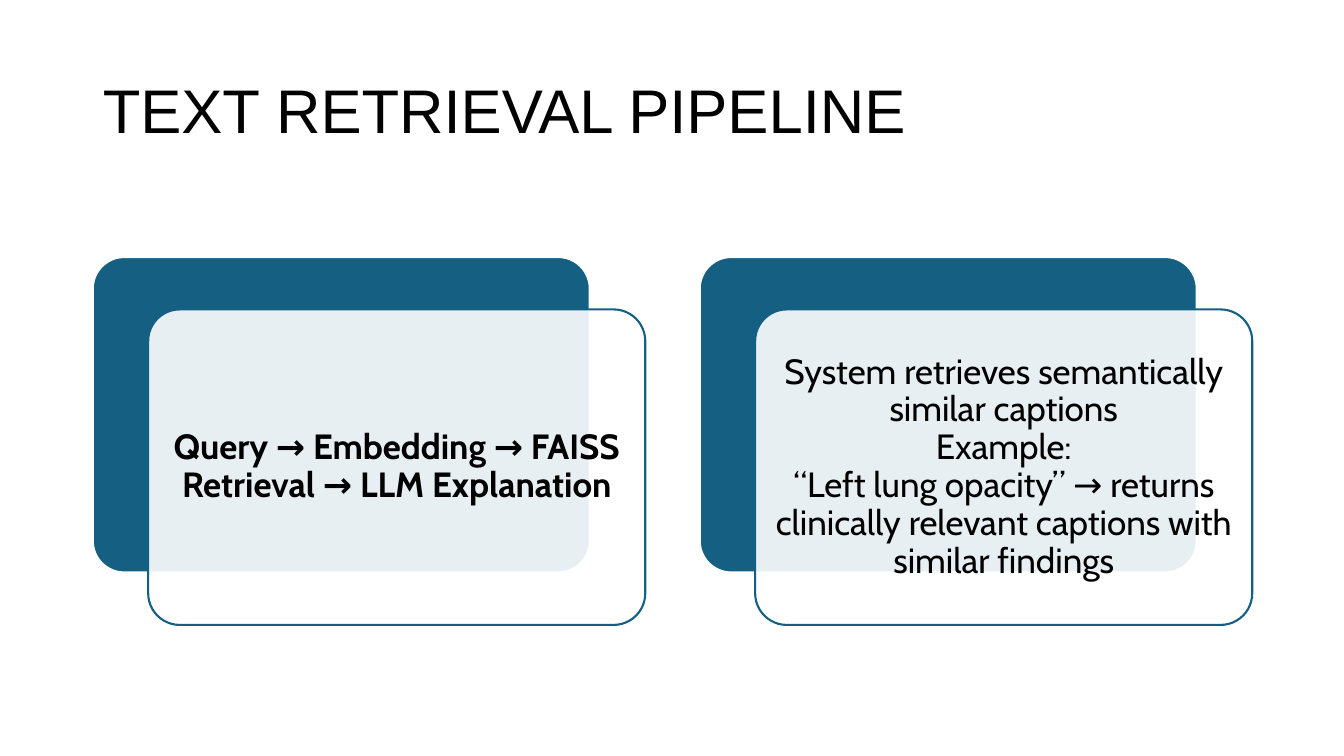
from dataclasses import dataclass

from lxml.etree import SubElement
from pptx import Presentation
from pptx.dml.color import RGBColor
from pptx.enum.shapes import MSO_SHAPE as Preset
from pptx.enum.text import MSO_ANCHOR as Anchor, MSO_AUTO_SIZE as AutoSize, PP_ALIGN as Align
from pptx.oxml.ns import qn
from pptx.shapes.autoshape import Shape
from pptx.shapes.group import GroupShape
from pptx.slide import Slide
from pptx.text.text import TextFrame
from pptx.util import Inches, Pt


@dataclass(frozen=True)
class Theme:
    ink: RGBColor = RGBColor(0x00, 0x00, 0x00)
    accent: RGBColor = RGBColor(0x15, 0x60, 0x82)
    paper: RGBColor = RGBColor(0xFF, 0xFF, 0xFF)
    title_font: str = "Arial"
    card_font: str = "Cabin"
    title_size: int = 44
    card_size: int = 25
    line_width: float = 1.5
    line_spacing: float = 0.9
    front_opacity: int = 90


@dataclass(frozen=True)
class Card:
    lines: tuple[str, ...]
    bold: bool = False


THEME = Theme()

# Card grid, in inches
CARD_LEFT, CARD_TOP = 0.92, 2.55
CARD_WIDTH, CARD_HEIGHT = 4.93, 3.13
CARD_PITCH = 6.02
FRONT_SHIFT_X, FRONT_SHIFT_Y = 0.55, 0.52
TEXT_INSET = 0.09
TEXT_MARGIN = 0.1

CARDS = (
    Card(("Query → Embedding → FAISS Retrieval → LLM Explanation",), bold=True),
    Card((
        "System retrieves semantically similar captions",
        "Example:",
        "“Left lung opacity” → returns clinically relevant captions with similar findings",
    )),
)


def write_lines(frame: TextFrame, lines: tuple[str, ...], font: str, size: int,
                align: Align, bold: bool = False) -> None:
    frame.word_wrap = True
    frame.auto_size = AutoSize.NONE
    frame.vertical_anchor = Anchor.MIDDLE
    paragraph = frame.paragraphs[0]
    paragraph.alignment = align
    paragraph.line_spacing = THEME.line_spacing
    for index, line in enumerate(lines):
        if index:
            paragraph.add_line_break()
        run = paragraph.add_run()
        run.text = line
        run.font.name = font
        run.font.size = Pt(size)
        run.font.bold = bold
        run.font.color.rgb = THEME.ink


def add_panel(group: GroupShape, left: float, top: float,
              fill: RGBColor, outline: RGBColor) -> Shape:
    panel = group.shapes.add_shape(Preset.ROUNDED_RECTANGLE, Inches(left), Inches(top),
                                   Inches(CARD_WIDTH), Inches(CARD_HEIGHT))
    panel.adjustments[0] = 0.1
    panel.shadow.inherit = False
    panel.fill.solid()
    panel.fill.fore_color.rgb = fill
    panel.line.color.rgb = outline
    panel.line.width = Pt(THEME.line_width)
    return panel


def set_opacity(panel: Shape, percent: int) -> None:
    fill_color = panel.fill._xPr.find(qn("a:solidFill"))[0]
    SubElement(fill_color, qn("a:alpha")).set("val", str(percent * 1000))


def add_card(slide: Slide, card: Card, left: float) -> None:
    group = slide.shapes.add_group_shape()

    # Solid panel behind, translucent panel in front
    add_panel(group, left, CARD_TOP, THEME.accent, THEME.paper)
    front_left, front_top = left + FRONT_SHIFT_X, CARD_TOP + FRONT_SHIFT_Y
    front = add_panel(group, front_left, front_top, THEME.paper, THEME.accent)
    set_opacity(front, THEME.front_opacity)

    # Card text
    caption = group.shapes.add_textbox(
        Inches(front_left + TEXT_INSET), Inches(front_top + TEXT_INSET),
        Inches(CARD_WIDTH - 2 * TEXT_INSET), Inches(CARD_HEIGHT - 2 * TEXT_INSET))
    frame = caption.text_frame
    frame.margin_left = frame.margin_right = Inches(TEXT_MARGIN)
    frame.margin_top = frame.margin_bottom = Inches(TEXT_MARGIN)
    write_lines(frame, card.lines, THEME.card_font, THEME.card_size, Align.CENTER, card.bold)


def add_title(slide: Slide, heading: str) -> None:
    title = slide.shapes.title
    title.left, title.top = Inches(0.92), Inches(0.4)
    title.width, title.height = Inches(11.5), Inches(1.45)
    write_lines(title.text_frame, (heading,), THEME.title_font, THEME.title_size, Align.LEFT)


def main() -> None:
    deck = Presentation()
    deck.slide_width, deck.slide_height = Inches(13.33), Inches(7.5)
    slide = deck.slides.add_slide(deck.slide_layouts.get_by_name("Title Only"))

    add_title(slide, "TEXT RETRIEVAL PIPELINE")
    for column, card in enumerate(CARDS):
        add_card(slide, card, CARD_LEFT + column * CARD_PITCH)

    deck.save("out.pptx")


if __name__ == "__main__":
    main()
